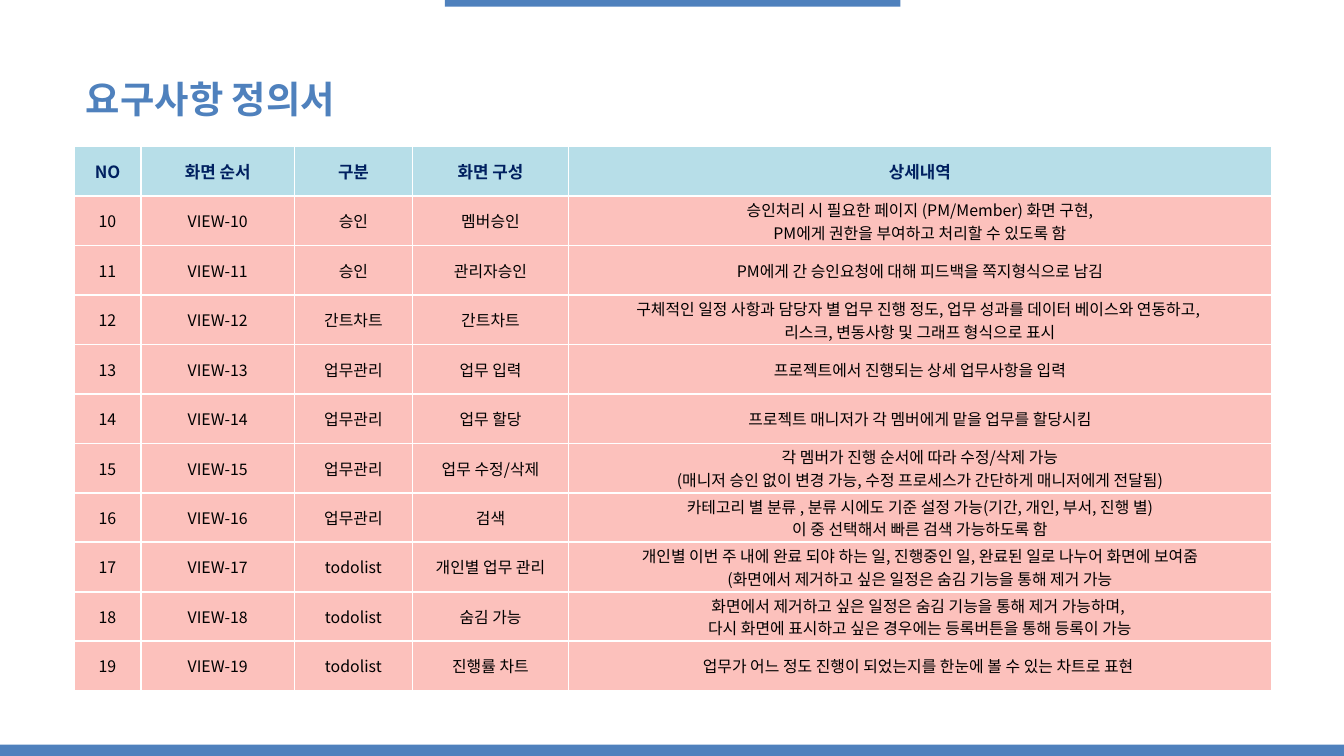
from dataclasses import dataclass

from lxml import etree
from pptx import Presentation
from pptx.dml.color import RGBColor
from pptx.enum.shapes import MSO_SHAPE
from pptx.enum.text import MSO_ANCHOR, PP_ALIGN
from pptx.oxml.ns import qn
from pptx.util import Inches, Pt

RECTANGLE = MSO_SHAPE.RECTANGLE
MIDDLE = MSO_ANCHOR.MIDDLE
CENTER = PP_ALIGN.CENTER


@dataclass(frozen=True)
class Theme:
    font: str = "Noto Sans CJK KR"
    accent: str = "4F81BD"
    header_fill: str = "B7DEE8"
    header_text: str = "002060"
    body_fill: str = "FCC1BC"
    body_text: str = "000000"
    border: str = "FFFFFF"
    title_size: float = 20
    header_size: float = 9
    body_size: float = 8.5
    border_width: float = 1


THEME = Theme()
TITLE_FORMAT = {"size": Pt(THEME.title_size), "bold": True}
HEADER_FORMAT = {"size": Pt(THEME.header_size), "bold": True}
BODY_FORMAT = {"size": Pt(THEME.body_size), "bold": False}
CELL_FORMAT = {
    "vertical_anchor": MIDDLE,
    "margin_left": 0,
    "margin_right": 0,
    "margin_top": 0,
    "margin_bottom": 0,
}

BARS = [(3.31, 0, 3.39, 0.05), (0, 5.54, 10, 0.09)]
COLUMN_WIDTHS = [0.5, 1.14, 0.88, 1.16, 5.23]
TABLE_HEIGHT = 4.05
FIRST_NUMBER = 10
HEADERS = ["NO", "화면 순서", "구분", "화면 구성", "상세내역"]
# Category, screen, detail lines
REQUIREMENTS = [
    ("승인", "멤버승인",
     "승인처리 시 필요한 페이지 (PM/Member) 화면 구현,\n"
     "PM에게 권한을 부여하고 처리할 수 있도록 함"),
    ("승인", "관리자승인", "PM에게 간 승인요청에 대해 피드백을 쪽지형식으로 남김"),
    ("간트차트", "간트차트",
     "구체적인 일정 사항과 담당자 별 업무 진행 정도, 업무 성과를 데이터 베이스와 연동하고, \n"
     "리스크, 변동사항 및 그래프 형식으로 표시"),
    ("업무관리", "업무 입력", "프로젝트에서 진행되는 상세 업무사항을 입력"),
    ("업무관리", "업무 할당", "프로젝트 매니저가 각 멤버에게 맡을 업무를 할당시킴"),
    ("업무관리", "업무 수정/삭제",
     "각 멤버가 진행 순서에 따라 수정/삭제 가능\n"
     "(매니저 승인 없이 변경 가능, 수정 프로세스가 간단하게 매니저에게 전달됨)"),
    ("업무관리", "검색",
     "카테고리 별 분류 , 분류 시에도 기준 설정 가능(기간, 개인, 부서, 진행 별)\n"
     "이 중 선택해서 빠른 검색 가능하도록 함"),
    ("todolist", "개인별 업무 관리",
     "개인별 이번 주 내에 완료 되야 하는 일, 진행중인 일, 완료된 일로 나누어 화면에 보여줌\n"
     "(화면에서 제거하고 싶은 일정은 숨김 기능을 통해 제거 가능"),
    ("todolist", "숨김 가능",
     "화면에서 제거하고 싶은 일정은 숨김 기능을 통해 제거 가능하며, \n"
     "다시 화면에 표시하고 싶은 경우에는 등록버튼을 통해 등록이 가능"),
    ("todolist", "진행률 차트",
     "업무가 어느 정도 진행이 되었는지를 한눈에 볼 수 있는 차트로 표현 "),
]


def apply_format(target, values):
    for name, value in values.items():
        setattr(target, name, value)


def paint(shape, color):
    shape.fill.solid()
    shape.fill.fore_color.rgb = RGBColor.from_string(color)


def write_text(frame, text, font_format, color, alignment=None):
    """Fill the frame with one paragraph per line of text."""
    frame.text = text
    for para in frame.paragraphs:
        para.alignment = alignment
        for span in para.runs:
            apply_format(span.font, font_format)
            span.font.name = THEME.font
            span.font.color.rgb = RGBColor.from_string(color)


def add_bar(page, left, top, width, height):
    bar = page.shapes.add_shape(
        RECTANGLE, Inches(left), Inches(top), Inches(width), Inches(height))
    bar.shadow.inherit = False
    bar.line.fill.background()
    paint(bar, THEME.accent)


def add_title(page, text):
    box = page.shapes.add_textbox(
        Inches(0.54), Inches(0.52), Inches(3.71), Inches(0.44))
    box.text_frame.word_wrap = True
    write_text(box.text_frame, text, TITLE_FORMAT, THEME.accent)


def add_borders(cell):
    properties = cell._tc.get_or_add_tcPr()
    for position, side in enumerate(("lnL", "lnR", "lnT", "lnB")):
        line = etree.Element(qn(f"a:{side}"), w=str(Pt(THEME.border_width)))
        fill = etree.SubElement(line, qn("a:solidFill"))
        etree.SubElement(fill, qn("a:srgbClr"), val=THEME.border)
        properties.insert(position, line)


def fill_cell(cell, text, is_header):
    if is_header:
        font_format, color, fill = HEADER_FORMAT, THEME.header_text, THEME.header_fill
    else:
        font_format, color, fill = BODY_FORMAT, THEME.body_text, THEME.body_fill
    apply_format(cell, CELL_FORMAT)
    write_text(cell.text_frame, text, font_format, color, CENTER)
    paint(cell, fill)
    add_borders(cell)


def add_requirements_table(page):
    rows = [HEADERS]
    for number, requirement in enumerate(REQUIREMENTS, FIRST_NUMBER):
        rows.append([str(number), f"VIEW-{number}", *requirement])
    table = page.shapes.add_table(
        len(rows), len(HEADERS), Inches(0.55), Inches(1.09),
        Inches(sum(COLUMN_WIDTHS)), Inches(TABLE_HEIGHT)).table
    for column, width in zip(table.columns, COLUMN_WIDTHS):
        column.width = Inches(width)
    for row_index, texts in enumerate(rows):
        table.rows[row_index].height = Inches(TABLE_HEIGHT / len(rows))
        for column_index, text in enumerate(texts):
            fill_cell(table.cell(row_index, column_index), text, row_index == 0)


def main():
    deck = Presentation()
    deck.slide_width = Inches(10)
    deck.slide_height = deck.slide_width * 9 // 16
    page = deck.slides.add_slide(deck.slide_layouts[6])
    for bar in BARS:
        add_bar(page, *bar)
    add_title(page, "요구사항 정의서")
    add_requirements_table(page)
    deck.save("out.pptx")


if __name__ == "__main__":
    main()
